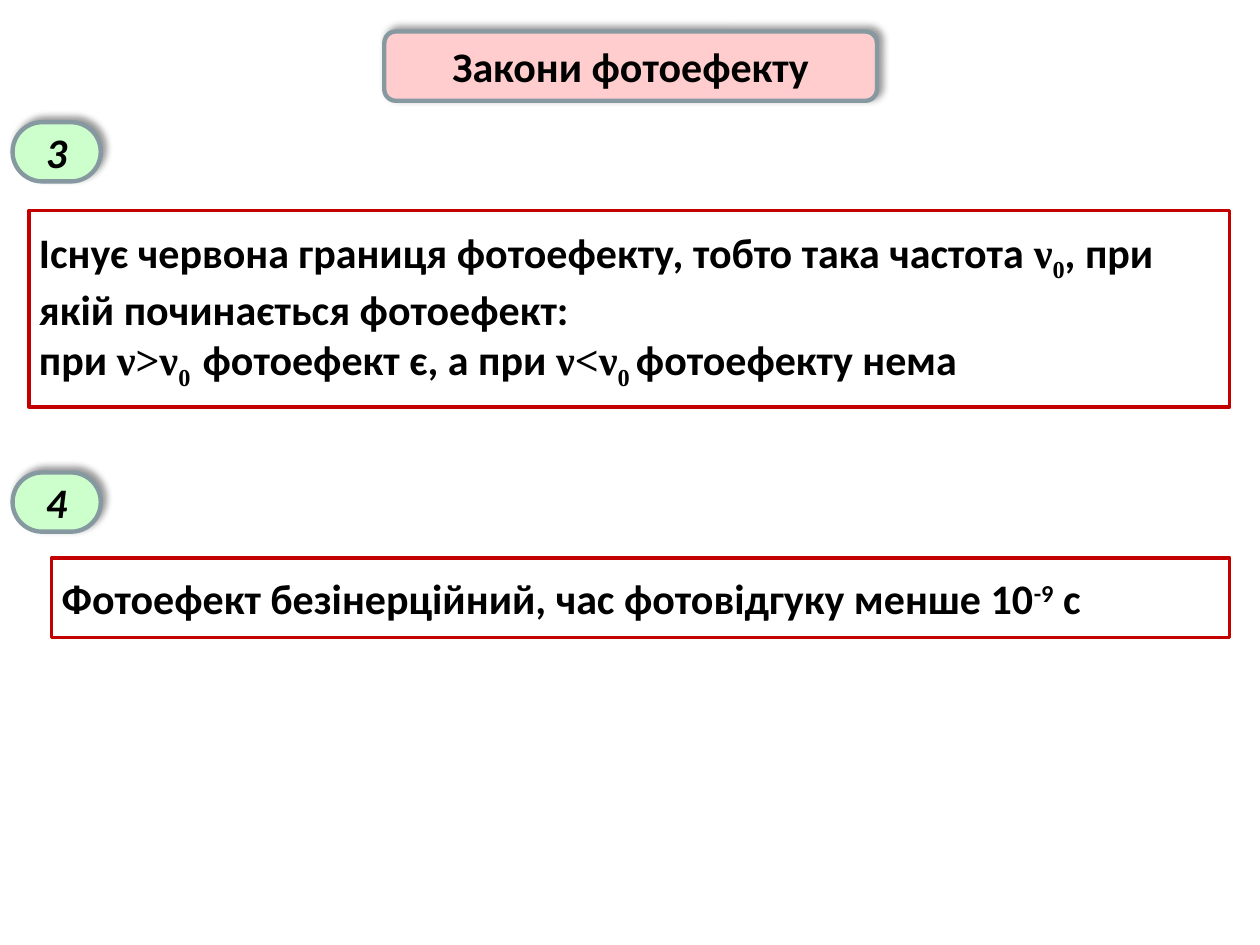
from lxml.etree import SubElement
from pptx import Presentation
from pptx.dml.color import RGBColor
from pptx.enum.shapes import MSO_SHAPE
from pptx.enum.text import MSO_ANCHOR, PP_ALIGN
from pptx.oxml.ns import qn
from pptx.util import Inches, Pt

COLORS = {
    "title": "FFCDCD",
    "badge": "CCFFCC",
    "law": "FFFFFF",
    "badge_line": "8698A0",
    "law_line": "C30000",
    "text": "000000",
    "shadow": "000000",
}
SANS, SERIF = "Calibri", "Times New Roman"
SUB, SUPER = -25, 30

LAWS = [
    ("3", (0.1, 0.97, 0.7, 0.47), (0.23, 1.67, 9.53, 1.56), [
        [("Існує червона границя фотоефекту, тобто така частота ", SANS, 0),
         ("ν", SERIF, 0), ("0", SERIF, SUB),
         (", при якій починається фотоефект:", SANS, 0)],
        [("при ", SANS, 0), ("ν>ν", SERIF, 0), ("0  ", SERIF, SUB),
         ("фотоефект є, а при ", SANS, 0), ("ν<ν", SERIF, 0), ("0 ", SERIF, SUB),
         ("фотоефекту нема", SANS, 0)],
    ]),
    ("4", (0.1, 3.75, 0.7, 0.47), (0.41, 4.43, 9.35, 0.63), [
        [("Фотоефект безінерційний, час фотовідгуку менше 10", SANS, 0),
         ("-9", SANS, SUPER), (" с", SANS, 0)],
    ]),
]


def add_box(s, kind, box, fill, line, width):
    sp = s.shapes.add_shape(kind, *map(Inches, box))
    sp.shadow.inherit = False
    sp.fill.solid()
    sp.fill.fore_color.rgb = RGBColor.from_string(COLORS[fill])
    sp.line.color.rgb = RGBColor.from_string(COLORS[line])
    sp.line.width = Pt(width)
    return sp


def add_shadow(sp):
    effects = sp._element.spPr.find(qn("a:effectLst"))
    shadow = SubElement(effects, qn("a:outerShdw"), blurRad=str(Pt(4)),
                        dist=str(Pt(3)), dir=str(315 * 60000),
                        algn="bl", rotWithShape="0")
    color = SubElement(shadow, qn("a:srgbClr"), val=COLORS["shadow"])
    SubElement(color, qn("a:alpha"), val="40000")


def write_text(sp, paragraphs, align, italic=False):
    tf = sp.text_frame
    tf.word_wrap = True
    tf.vertical_anchor = MSO_ANCHOR.MIDDLE
    for i, runs in enumerate(paragraphs):
        p = tf.paragraphs[0] if i == 0 else tf.add_paragraph()
        p.alignment = align
        for text, font, baseline in runs:
            r = p.add_run()
            r.text = text
            formats = {"name": font, "size": Pt(24), "bold": True, "italic": italic}
            for key, value in formats.items():
                setattr(r.font, key, value)
            r.font.color.rgb = RGBColor.from_string(COLORS["text"])
            if baseline:
                r._r.get_or_add_rPr().set("baseline", str(baseline * 1000))


def add_label(s, box, text, fill, italic=False, rounding=None):
    sp = add_box(s, MSO_SHAPE.ROUNDED_RECTANGLE, box, fill, "badge_line", 2.5)
    if rounding is not None:
        sp.adjustments[0] = rounding
    add_shadow(sp)
    write_text(sp, [[(text, SANS, 0)]], PP_ALIGN.CENTER, italic)


def add_statement(s, box, paragraphs):
    sp = add_box(s, MSO_SHAPE.RECTANGLE, box, "law", "law_line", 2)
    margins = {"margin_left": 0.08, "margin_top": 0.04,
               "margin_right": 0.08, "margin_bottom": 0.04}
    for key, value in margins.items():
        setattr(sp.text_frame, key, Inches(value))
    write_text(sp, paragraphs, PP_ALIGN.LEFT)


def main():
    prs = Presentation()
    prs.slide_width, prs.slide_height = Inches(10), Inches(7.5)
    s = prs.slides.add_slide(prs.slide_layouts[6])
    add_label(s, (3.05, 0.25, 3.91, 0.55), "Закони фотоефекту", "title")
    for number, badge_box, law_box, paragraphs in LAWS:
        add_label(s, badge_box, number, "badge", italic=True, rounding=0.5)
        add_statement(s, law_box, paragraphs)
    prs.save("out.pptx")


if __name__ == "__main__":
    main()
